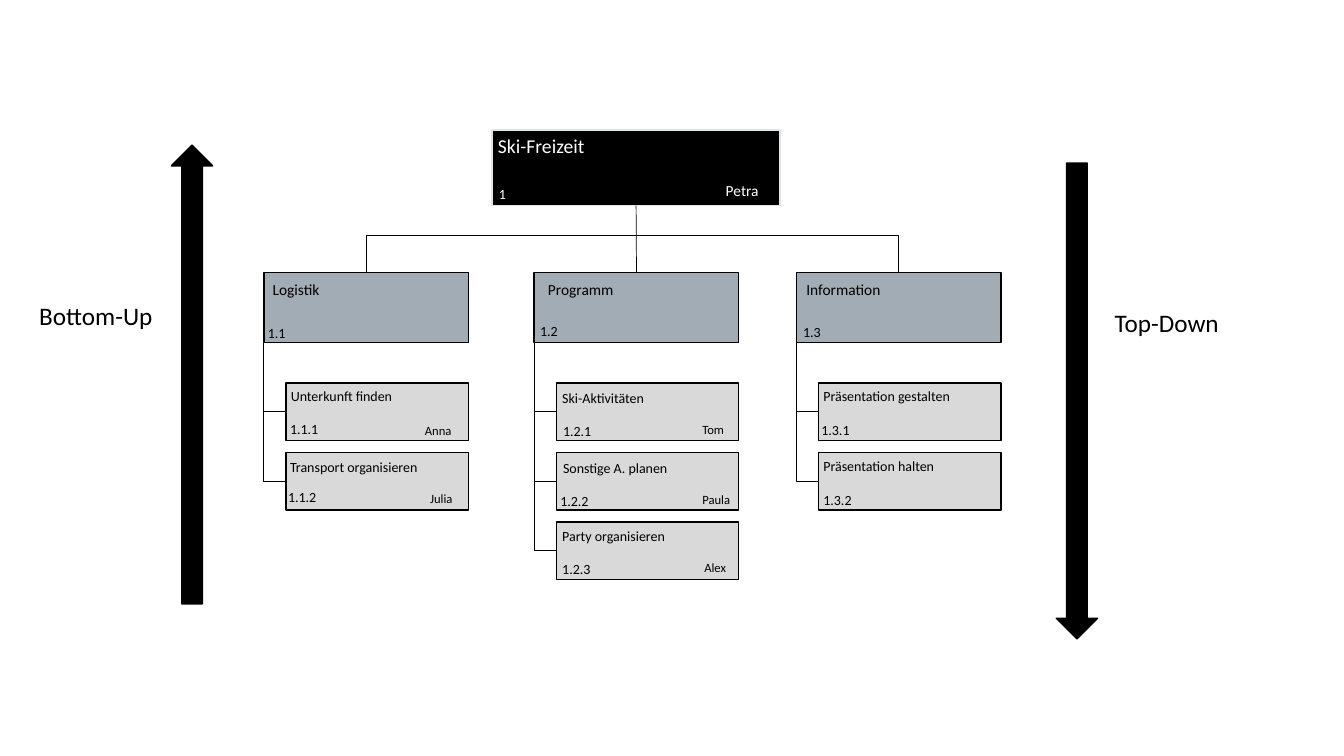
from dataclasses import dataclass

from lxml import etree
from pptx import Presentation
from pptx import util as u
from pptx.dml.color import RGBColor
from pptx.enum import shapes, text
from pptx.oxml.ns import qn


@dataclass(frozen=True)
class Theme:
    font: str = "Calibri"
    black: str = "000000"
    white: str = "FFFFFF"
    root_line: str = "E2E5E8"
    branch_fill: str = "A2ACB5"
    task_fill: str = "D9D9D9"
    direction_size: int = 18
    root_size: int = 14
    branch_size: int = 11
    task_size: int = 10
    owner_size: int = 9
    box_line: float = 1
    tree_line: float = 0.5


THEME = Theme()

# All lengths are centimetres. A label is (text, x, y) from its box's corner.
ROOT_BOX = (12.4, 3.28, 7.26, 1.9)
BRANCH_TOP, BRANCH_WIDTH, BRANCH_HEIGHT = 6.86, 5.16, 1.78
TASK_INDENT, TASK_TOP, TASK_PITCH = 0.56, 9.65, 1.75
TASK_WIDTH, TASK_HEIGHT = 4.6, 1.45
BUS_Y = 5.94
ROOT_LABELS = [("Ski-Freizeit", -0.1, -0.03), ("1", -0.08, 1.27), ("Petra", 5.64, 1.17)]

BRANCHES = [
    (6.65, [("Logistik", -0.03, 0.08), ("1.1", -0.15, 1.19)], [
        [("Unterkunft finden", -0.13, 0), ("1.1.1", -0.15, 0.81), ("Anna", 3.25, 0.87)],
        [("Transport organisieren", -0.15, 0.03), ("1.1.2", -0.2, 0.79), ("Julia", 3.38, 0.84)],
    ]),
    (13.46, [("Programm", 0.1, 0.08), ("1.2", -0.1, 1.14)], [
        [("Ski-Aktivitäten", -0.1, 0.03), ("1.2.1", -0.08, 0.86), ("Tom", 3.43, 0.86)],
        [("Sonstige A. planen", -0.08, 0.05), ("1.2.2", -0.15, 0.89), ("Paula", 3.43, 0.86)],
        [("Party organisieren", -0.1, 0.03), ("1.2.3", -0.1, 0.84), ("Alex", 3.48, 0.84)],
    ]),
    (20.07, [("Information", 0, 0.08), ("1.3", -0.08, 1.17)], [
        [("Präsentation gestalten", -0.13, 0), ("1.3.1", -0.18, 0.84)],
        [("Präsentation halten", -0.13, 0), ("1.3.2", -0.13, 0.86)],
    ]),
]


def add_block(slide, kind, box, fill, line=THEME.black):
    shape = slide.shapes.add_shape(kind, *map(u.Cm, box))
    shape.shadow.inherit = False
    shape.fill.solid()
    shape.fill.fore_color.rgb = RGBColor.from_string(fill)
    shape.line.color.rgb = RGBColor.from_string(line)
    shape.line.width = u.Pt(THEME.box_line)
    return shape


def add_text(slide, content, left, top, *, size, width=4.1, height=0.68, color=THEME.black):
    shape = slide.shapes.add_textbox(*map(u.Cm, (left, top, width, height)))
    frame = shape.text_frame
    frame.word_wrap = True
    frame.auto_size = text.MSO_AUTO_SIZE.SHAPE_TO_FIT_TEXT
    run = frame.paragraphs[0].add_run()
    run.text = content
    run.font.name = THEME.font
    run.font.size = u.Pt(size)
    run.font.color.rgb = RGBColor.from_string(color)


def add_labels(slide, labels, left, top, sizes, color=THEME.black):
    """Write a box's title, number and, if present, its owner."""
    widths = (4.6, 2.72, 3.38)
    for (content, x, y), size, width in zip(labels, sizes, widths):
        add_text(slide, content, left + x, top + y, size=size, width=width, color=color)


def add_line(slide, start, end, kind=shapes.MSO_CONNECTOR.STRAIGHT):
    connector = slide.shapes.add_connector(kind, *map(u.Cm, (*start, *end)))
    connector.line.color.rgb = RGBColor.from_string(THEME.black)
    connector.line.width = u.Pt(THEME.tree_line)
    etree.SubElement(connector._element.spPr, qn("a:effectLst"))
    return connector


def add_elbow(slide, start, end):
    """Draw a line with one corner: first horizontal, then vertical."""
    connector = add_line(slide, start, end, shapes.MSO_CONNECTOR.ELBOW)
    connector._element.spPr.find(qn("a:prstGeom")).set("prst", "bentConnector2")


def add_task(slide, branch_left, row, labels):
    left, top = branch_left + TASK_INDENT, TASK_TOP + row * TASK_PITCH
    add_block(slide, shapes.MSO_SHAPE.RECTANGLE, (left, top, TASK_WIDTH, TASK_HEIGHT),
              THEME.task_fill)
    add_elbow(slide, (left, top + TASK_HEIGHT / 2), (branch_left, BRANCH_TOP + BRANCH_HEIGHT))
    add_labels(slide, labels, left, top,
               (THEME.task_size, THEME.task_size, THEME.owner_size))


def add_branch(slide, left, labels, tasks):
    branch = add_block(slide, shapes.MSO_SHAPE.RECTANGLE,
                       (left, BRANCH_TOP, BRANCH_WIDTH, BRANCH_HEIGHT), THEME.branch_fill)
    add_labels(slide, labels, left, BRANCH_TOP, (THEME.branch_size, THEME.task_size))
    for row, task_labels in enumerate(tasks):
        add_task(slide, left, row, task_labels)
    return branch


def add_tree(slide):
    left, top, width, height = ROOT_BOX
    root = add_block(slide, shapes.MSO_SHAPE.RECTANGLE, ROOT_BOX, THEME.black, THEME.root_line)
    add_labels(slide, ROOT_LABELS, left, top,
               (THEME.root_size, THEME.task_size, THEME.branch_size), THEME.white)
    branches = [add_branch(slide, *branch) for branch in BRANCHES]

    center = left + width / 2
    trunk = add_line(slide, (center, top + height), (center, BRANCH_TOP))
    trunk.begin_connect(root, 2)
    trunk.end_connect(branches[1], 0)
    for branch_left in (BRANCHES[0][0], BRANCHES[2][0]):
        add_elbow(slide, (center, BUS_Y), (branch_left + BRANCH_WIDTH / 2, BRANCH_TOP))


def add_directions(slide):
    add_block(slide, shapes.MSO_SHAPE.UP_ARROW, (4.32, 3.66, 1.04, 11.56), THEME.black)
    add_block(slide, shapes.MSO_SHAPE.DOWN_ARROW, (26.62, 4.11, 1.04, 11.99), THEME.black)
    add_text(slide, "Bottom-Up", 0.74, 7.44, size=THEME.direction_size, width=4.88, height=1.03)
    add_text(slide, "Top-Down", 27.84, 7.62, size=THEME.direction_size, width=6, height=1.03)


def main():
    presentation = Presentation()
    presentation.slide_width, presentation.slide_height = u.Cm(33.87), u.Cm(19.05)
    slide = presentation.slides.add_slide(presentation.slide_layouts[6])
    add_tree(slide)
    add_directions(slide)
    presentation.save("out.pptx")


if __name__ == "__main__":
    main()
